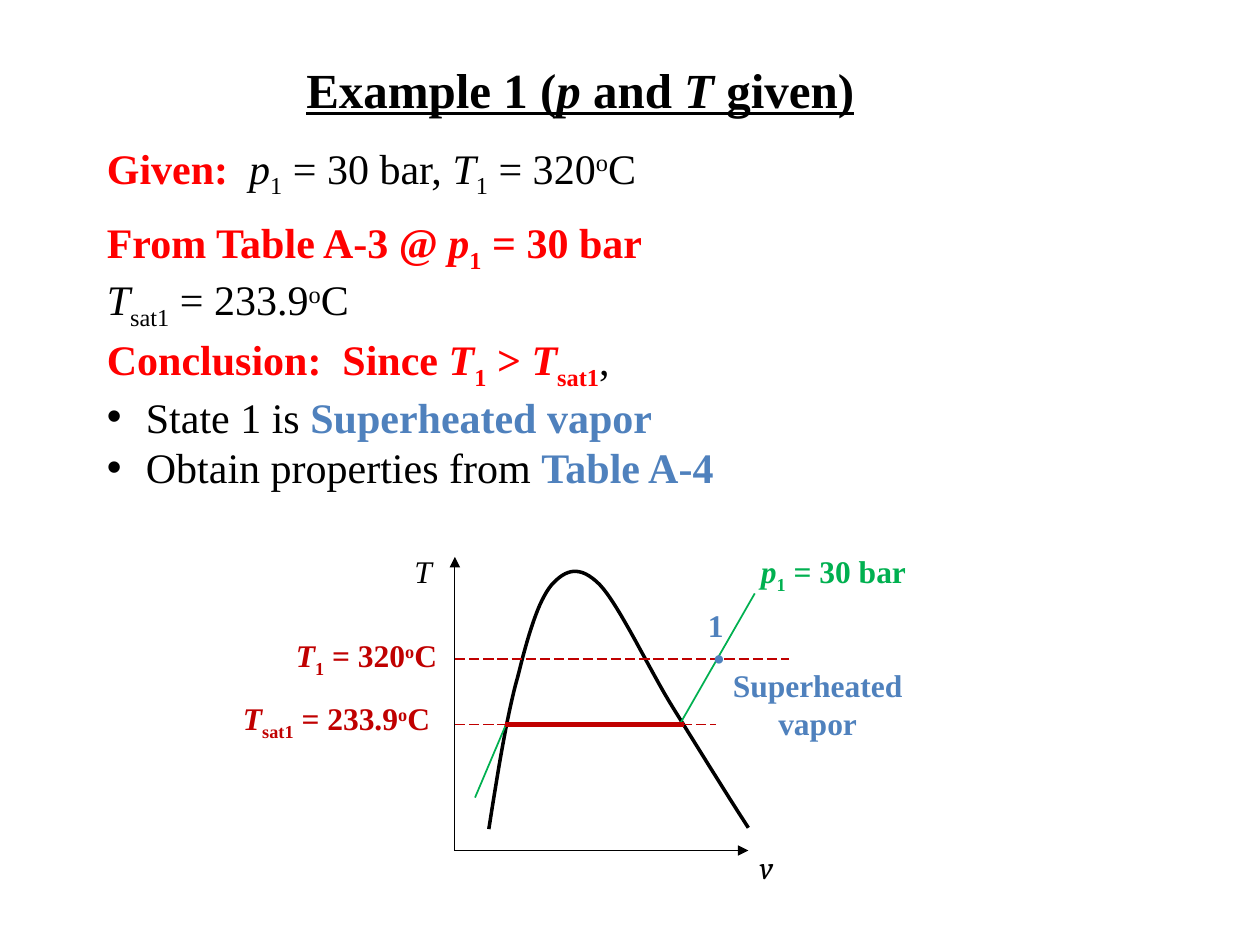
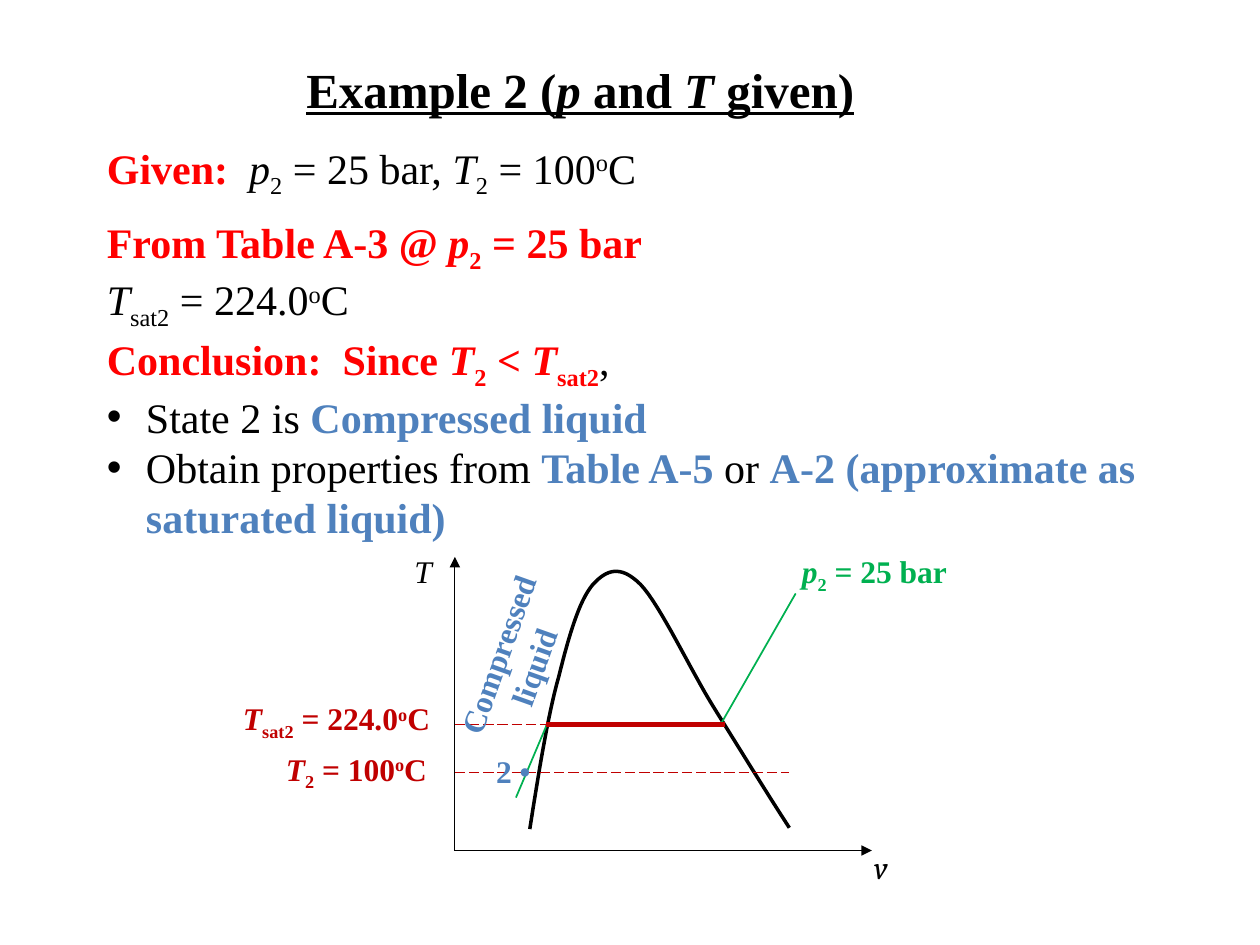
from dataclasses import dataclass
from lxml import etree
from pptx import Presentation
from pptx.dml.color import RGBColor
from pptx.enum.dml import MSO_LINE
from pptx.enum.shapes import MSO_CONNECTOR
from pptx.enum.text import MSO_AUTO_SIZE as FIT, PP_ALIGN
from pptx.oxml.ns import qn
from pptx.util import Inches, Pt

# Grid of 100 columns by 75 rows: one cell is a tenth of an inch.
COLS, ROWS, CELL = 100, 75, 0.1
BLACK, RED, BLUE = "000000", "FF0000", "4F81BD"
DARK_RED, GREEN = "C00000", "00B050"
SERIF = "Times New Roman"
AXIS_X, AXIS_Y, AXIS_TOP, SAT_Y = 36.1, 67.5, 44.2, 57.5
SHIFT = 3.25  # columns between the dome positions of the two cases

# Diagram outlines: the dome is a start point, then groups of three Bezier points.
DOME = [(38.8, 65.8),
        (39.5, 61.4), (40.2, 56.9), (41.1, 53.7),
        (41.9, 50.5), (42.7, 47.7), (43.8, 46.4),
        (44.9, 45.2), (46, 44.8), (47.6, 46.4),
        (49.2, 48.1), (51.5, 53.1), (53.5, 56.3),
        (55.5, 59.5), (57.4, 62.6), (59.4, 65.7)]
ISOBAR = [(37.7, 63.3), (40.2, 57.4), (54, 57.4), (59.9, 47.1)]


@dataclass
class Case:
    """Values and diagram places of one worked example."""
    n: str
    bar: str
    temp: str
    sat: str
    sign: str
    phase: str
    tables: list
    wrap: bool
    shift: float
    axis_end: float
    v_left: float
    state_y: float
    temp_left: float
    dot_left: float
    number_at: tuple
    region_at: tuple
    region_lines: list
    region_turn: float


CASES = [
    Case("1", "30 bar", "320", "233.9", ">", "Superheated vapor",
         [("Table A-4", "b", BLUE)], False, 0, 59.4, 59.3, 52.3, 22.5, 55.6,
         (55.2, 47.6, 3.3, 4), (57.1, 52.4, 15.6, 7.1),
         ["Superheated", "vapor"], 0),
    Case("2", "25 bar", "100", "224.0", "<", "Compressed liquid",
         [("Table A-5 ", "b", BLUE), ("or ", "", BLACK),
          ("A-2 (approximate as saturated liquid)", "b", BLUE)],
         True, SHIFT, 69.2, 68.4, 61.3, 21.7, 40.2,
         (38.4, 59.2, 3.3, 4), (33.3, 48.9, 15.3, 7.1),
         ["Compressed", "liquid"], 289.6),
]


def cells(n):
    """Length of n grid cells."""
    return Inches(n * CELL)


def rgb(value):
    """Colour from a hex string."""
    return RGBColor.from_string(value)


def styled(runs, flags="", color=BLACK):
    """Add flags and a colour to (text, flags) runs."""
    return [(text, own + flags, color) for text, own in runs]


def temperature(sub, value):
    """Runs for a temperature with its subscript and degree sign."""
    return [("T", "i"), (sub, "-"), (f" = {value}", ""), ("o", "+"), ("C", "")]


def pressure(c):
    """Runs for the pressure of a case."""
    return [("p", "i"), (c.n, "-"), (f" = {c.bar}", "")]


def add_text(s, at, paras, size=18, font=SERIF, align=PP_ALIGN.LEFT,
             wrap=False, bullets_from=None):
    """Text box; run flags are b, i, u, - (subscript) and + (superscript)."""
    sp = s.shapes.add_textbox(*map(cells, at))
    tf = sp.text_frame
    tf.word_wrap, tf.auto_size = wrap, FIT.SHAPE_TO_FIT_TEXT
    for i, runs in enumerate(paras):
        p = tf.add_paragraph() if i else tf.paragraphs[0]
        p.alignment = align
        if bullets_from is not None and i >= bullets_from:
            add_bullet(p)
        for text, flags, color in runs:
            r = p.add_run()
            r.text = text
            form = {"name": font, "size": Pt(size), "bold": "b" in flags,
                    "italic": "i" in flags, "underline": "u" in flags}
            for key, value in form.items():
                setattr(r.font, key, value)
            r.font.color.rgb = rgb(color)
            for mark, base in (("-", "-25000"), ("+", "30000")):
                if mark in flags:
                    r._r.get_or_add_rPr().set("baseline", base)
    return sp


def add_bullet(p):
    """Round bullet with a hanging indent."""
    pr = p._p.get_or_add_pPr()
    hang = Inches(0.31)
    pr.set("marL", str(hang))
    pr.set("indent", str(-hang))
    etree.SubElement(pr, qn("a:buFont")).set("typeface", "Arial")
    etree.SubElement(pr, qn("a:buChar")).set("char", "•")


def add_line(s, start, end, color, width, dashed=False, arrow=False):
    """Straight line, dashed or with an arrowhead when asked."""
    ln = s.shapes.add_connector(MSO_CONNECTOR.STRAIGHT,
                                *map(cells, (*start, *end)))
    ln.line.color.rgb, ln.line.width = rgb(color), Pt(width)
    if dashed:
        ln.line.dash_style = MSO_LINE.LONG_DASH
    if arrow:
        tail = etree.SubElement(ln.line._get_or_add_ln(), qn("a:tailEnd"))
        tail.set("type", "triangle")
    etree.SubElement(ln._element.spPr, qn("a:effectLst"))


def add_outline(s, points, shift, color, width):
    """Open unfilled outline through the points, moved right by shift."""
    pts = [(cells(x + shift), cells(y)) for x, y in points]
    fb = s.shapes.build_freeform(*pts[0])
    fb.add_line_segments(pts[1:], close=False)
    sp = fb.convert_to_shape()
    sp.shadow.inherit = False
    sp.fill.background()
    sp.line.color.rgb, sp.line.width = rgb(color), Pt(width)


def bezier(points, steps=16):
    """Points along a chain of cubic Bezier curves."""
    out = [points[0]]
    for i in range(0, len(points) - 1, 3):
        quad = points[i:i + 4]
        for k in range(1, steps + 1):
            t = k / steps
            w = ((1 - t) ** 3, 3 * t * (1 - t) ** 2, 3 * t * t * (1 - t), t ** 3)
            out.append(tuple(sum(a * q[d] for a, q in zip(w, quad))
                             for d in (0, 1)))
    return out


def add_solution(s, c):
    """Title and the worked steps."""
    title = [(f"Example {c.n} (", ""), ("p", "i"), (" and ", ""),
             ("T", "i"), (" given)", "")]
    add_text(s, (22.9, 4.2, 46.3, 5.7), [styled(title, "bu")], 28,
             align=PP_ALIGN.CENTER)
    given = pressure(c) + [(", ", "")] + temperature(c.n, c.temp)
    add_text(s, (7.5, 10.8, 44.8, 9.1),
             [[("Given:  ", "b", RED)] + styled(given)], 24)
    lookup = [("From Table A-3 @ ", "")] + pressure(c)
    add_text(s, (7.5, 16.7, 45.6, 9.1),
             [styled(lookup, "b", RED),
              styled(temperature("sat" + c.n, c.sat))], 24)
    since = [("Conclusion:  Since ", ""), ("T", "i"), (c.n, "-"),
             (f" {c.sign} ", ""), ("T", "i"), ("sat" + c.n, "-")]
    add_text(s, (7.5, 26, 89.2 if c.wrap else 50.6, 17.2 if c.wrap else 13.1),
             [styled(since, "b", RED) + [(", ", "", BLACK)],
              [(f"State {c.n} is ", "", BLACK), (c.phase, "b", BLUE)],
              [("Obtain properties from ", "", BLACK)] + c.tables],
             24, wrap=c.wrap, bullets_from=1)


def add_diagram(s, c):
    """T-v diagram with the dome, the isobar and the state."""
    origin = (AXIS_X, AXIS_Y)
    for end in ((c.axis_end, AXIS_Y), (AXIS_X, AXIS_TOP)):
        add_line(s, origin, end, BLACK, 0.75, arrow=True)
    add_outline(s, bezier(DOME), c.shift, BLACK, 2)
    add_outline(s, ISOBAR, c.shift, GREEN, 1)
    for y, end in ((SAT_Y, 56.8), (c.state_y, 62.6)):
        add_line(s, (AXIS_X, y), (end, y), DARK_RED, 0.75, dashed=True)
    add_line(s, (40.1 + c.shift, SAT_Y), (54.3 + c.shift, SAT_Y), DARK_RED, 3)

    label_y = c.state_y - 2.3
    add_text(s, (31.9, 43.3, 3.4, 4), [[("T", "i", BLACK)]])
    add_text(s, (c.v_left, 66.8, 3.3, 4), [[("v", "i", BLACK)]], font="Cambria")
    add_text(s, (59.4 + c.shift, 43.3, 13.8, 4), [styled(pressure(c), "b", GREEN)])
    add_text(s, (18.3, 55, 17.5, 4),
             [styled(temperature("sat" + c.n, c.sat), "b", DARK_RED)])
    add_text(s, (c.temp_left, label_y, 13.7, 4),
             [styled(temperature(c.n, c.temp), "b", DARK_RED)])
    add_text(s, (c.dot_left, label_y, 3, 4.4), [[("•", "", BLUE)]], 20)
    add_text(s, c.number_at, [[(c.n, "b", BLUE)]])
    region = add_text(s, c.region_at, [[(t, "b", BLUE)] for t in c.region_lines],
                      align=PP_ALIGN.CENTER)
    region.rotation = c.region_turn


def main():
    """Build one slide for each case and save."""
    prs = Presentation()
    prs.slide_width, prs.slide_height = cells(COLS), cells(ROWS)
    for c in CASES:
        s = prs.slides.add_slide(prs.slide_layouts[6])
        add_solution(s, c)
        add_diagram(s, c)
    prs.save("out.pptx")


main()
